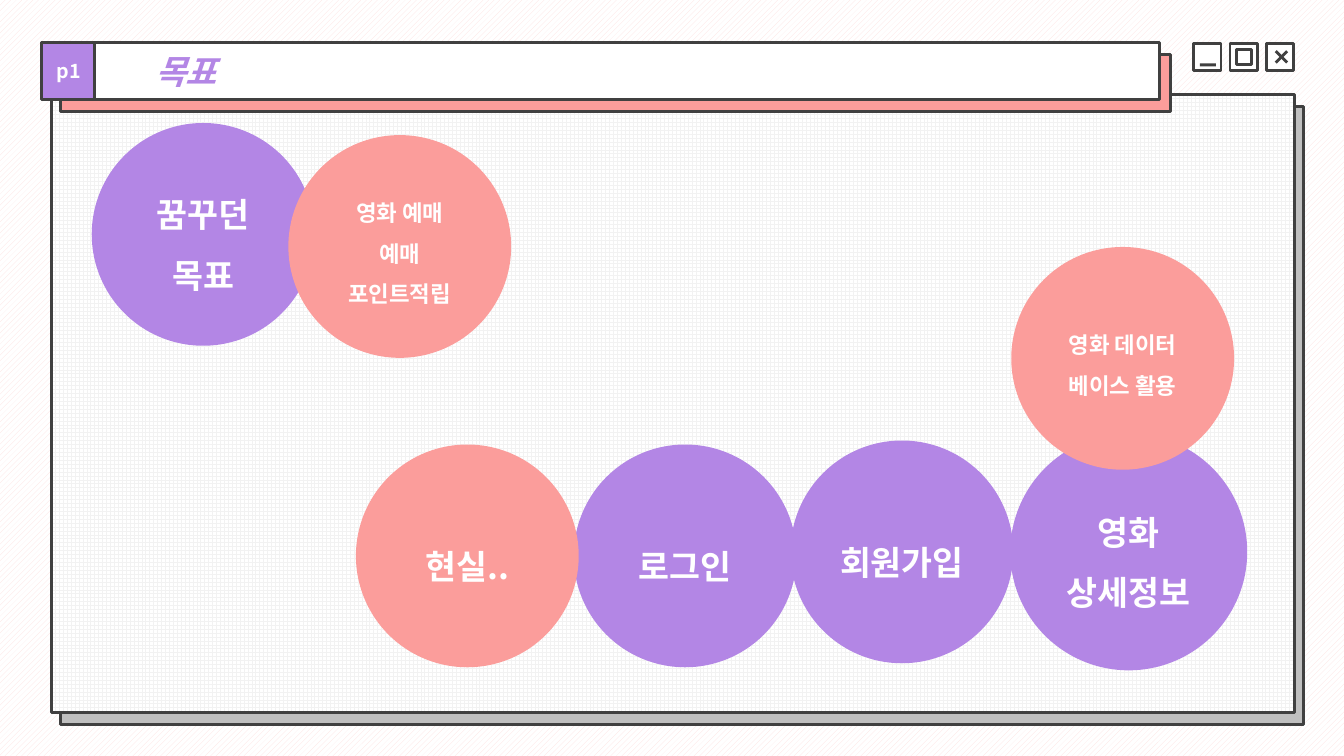
from lxml.etree import SubElement
from pptx import Presentation
from pptx.dml.color import RGBColor
from pptx.enum.dml import MSO_PATTERN
from pptx.enum.shapes import MSO_SHAPE
from pptx.enum.text import MSO_ANCHOR, PP_ALIGN
from pptx.oxml.ns import qn
from pptx.util import Inches, Pt

FONT = "Noto Sans CJK KR"
PURPLE, CORAL, DARK, WHITE, GRAY = "B386E5", "FB9D9B", "404040", "FFFFFF", "BFBFBF"


def paint(fill, color, pattern=None, back=WHITE):
    if pattern is None:
        fill.solid()
    else:
        fill.patterned()
        fill.pattern = pattern
        fill.back_color.rgb = RGBColor.from_string(back)
    fill.fore_color.rgb = RGBColor.from_string(color)


def add_block(kind, left, top, width, height, color, outlined=True, pattern=None,
              lines=(), align=PP_ALIGN.CENTER, spacing=None, level=0, **style):
    box = page.shapes.add_shape(kind, Inches(left), Inches(top), Inches(width), Inches(height))
    box.shadow.inherit = False
    paint(box.fill, color, pattern)
    if outlined:
        paint(box.line.fill, DARK)
        box.line.width = Pt(2)
    else:
        box.line.fill.background()
    frame = box.text_frame
    frame.word_wrap = True
    frame.vertical_anchor = MSO_ANCHOR.MIDDLE
    for number, line in enumerate(lines):
        para = frame.add_paragraph() if number else frame.paragraphs[0]
        para.alignment = align
        para.level = level
        if spacing:
            para.line_spacing = spacing
        span = para.add_run()
        span.text = line
        paint(span.font.fill, style["ink"])
        formats = {"name": FONT, "size": Pt(style["size"]), "bold": True,
                   "italic": style.get("italic", False)}
        for name, value in formats.items():
            setattr(span.font, name, value)
        SubElement(span.font._element, qn("a:ea"), typeface=FONT)
    return box


deck = Presentation()
deck.slide_width, deck.slide_height = Inches(13.33), Inches(7.5)
page = deck.slides.add_slide(deck.slide_layouts[6])
paint(page.background.fill, "FEDFDE", MSO_PATTERN.WIDE_UPWARD_DIAGONAL)
RECT = MSO_SHAPE.RECTANGLE

# Window with its offset shade
add_block(RECT, 0.6, 1.06, 12.33, 6.13, GRAY)
add_block(RECT, 0.51, 0.94, 12.33, 6.13, "F2F2F2", pattern=MSO_PATTERN.LARGE_GRID)

# Title bar
add_block(RECT, 0.6, 0.54, 11.01, 0.57, CORAL)
add_block(RECT, 0.41, 0.42, 0.54, 0.57, PURPLE, lines=["p1"], size=14, ink=WHITE)
add_block(RECT, 0.94, 0.42, 10.56, 0.57, WHITE, lines=["목표"], size=24, ink=PURPLE,
          italic=True, align=PP_ALIGN.LEFT, level=1)

# Window buttons: minimise, maximise, close
for column in range(3):
    add_block(RECT, 11.84 + 0.36 * column, 0.43, 0.27, 0.27, WHITE)
add_block(RECT, 12.26, 0.49, 0.15, 0.15, WHITE)
for left, top, angle in [(11.9, 0.63, 0), (12.63, 0.55, 45), (12.63, 0.55, 315)]:
    bar = add_block(RECT, left, top, 0.16, 0.03, DARK, outlined=False)
    bar.rotation = angle

# Goal circles, back to front
circles = [
    (5.69, 4.41, 2.21, PURPLE, 24, ["로그인"]),
    (7.84, 4.37, 2.21, PURPLE, 24, ["회원가입"]),
    (10.02, 4.3, 2.35, PURPLE, 24, ["영화", "상세정보"]),
    (10.03, 2.45, 2.21, CORAL, 16, ["영화 데이터 베이스 활용"]),
    (0.91, 1.22, 2.21, PURPLE, 24, ["꿈꾸던", "목표"]),
    (2.86, 1.34, 2.21, CORAL, 16, ["영화 예매", "예매", "포인트적립"]),
    (3.53, 4.41, 2.21, CORAL, 24, ["현실.."]),
]
for left, top, diameter, color, size, lines in circles:
    add_block(MSO_SHAPE.OVAL, left, top, diameter, diameter, color, outlined=False,
              lines=lines, spacing=1.5, size=size, ink=WHITE)

deck.save("out.pptx")
